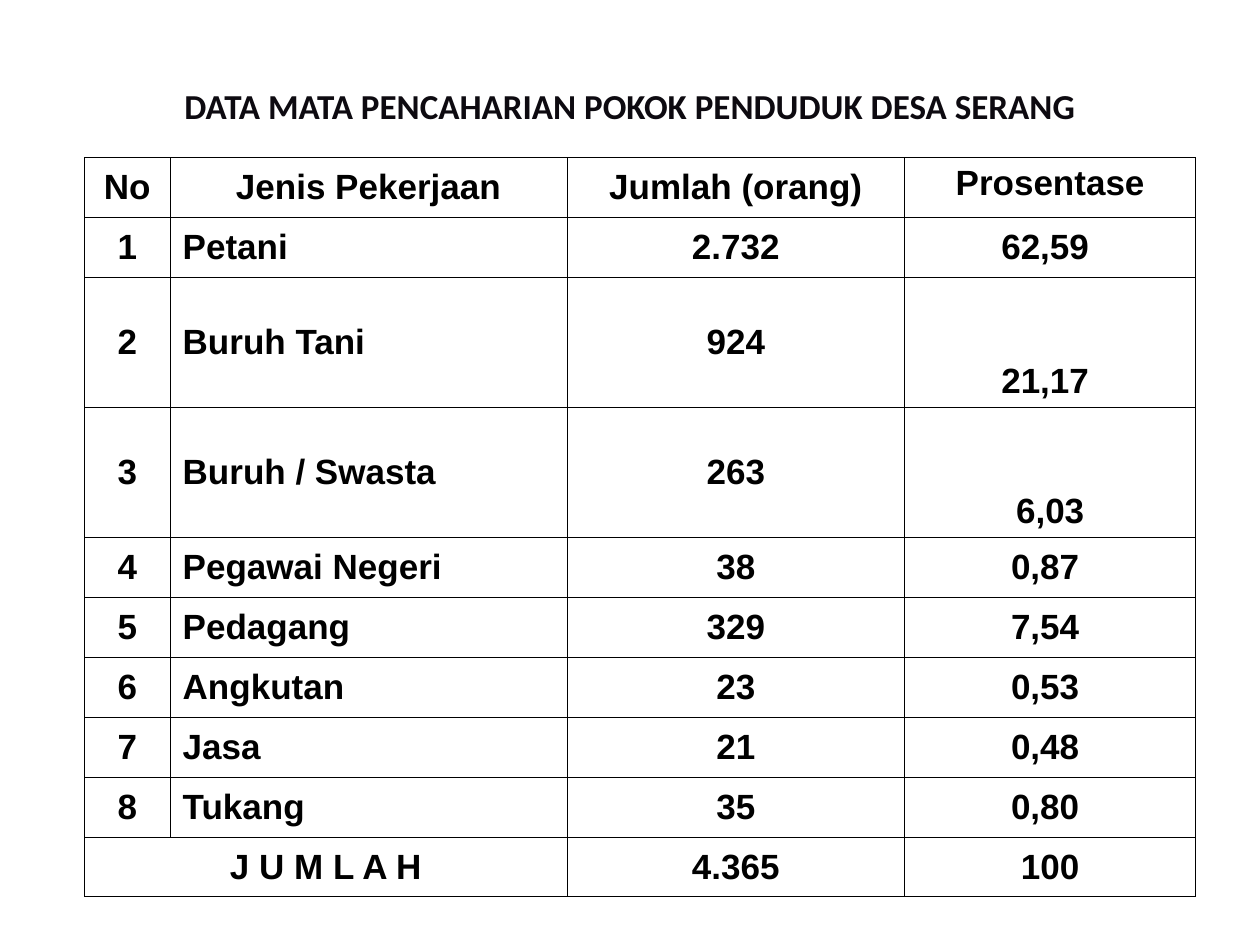
"""Build a slide with a table of the main livelihoods in Serang village."""
from dataclasses import dataclass

from lxml.etree import SubElement
from pptx import Presentation
from pptx.dml.color import RGBColor
from pptx.enum.text import MSO_ANCHOR, PP_ALIGN
from pptx.oxml.ns import qn
from pptx.util import Inches, Pt


@dataclass(frozen=True)
class Theme:
    ink: str = "000000"
    head: str = "0D0A10"
    size: int = 20
    line: float = 0.45
    body: str = "Arial"
    title: str = "Calibri"


THEME = Theme()
TITLE = "DATA MATA PENCAHARIAN POKOK PENDUDUK DESA SERANG"
HEAD = ("No", "Jenis Pekerjaan", "Jumlah (orang)", "Prosentase")
JOBS = [
    ("Petani", "2.732", "62,59"),
    ("Buruh Tani", "924", "21,17"),
    ("Buruh / Swasta", "263", "6,03"),
    ("Pegawai Negeri", "38", "0,87"),
    ("Pedagang", "329", "7,54"),
    ("Angkutan", "23", "0,53"),
    ("Jasa", "21", "0,48"),
    ("Tukang", "35", "0,80"),
]
TOTAL = ("J U M L A H", "", "4.365", "100")
ROWS = [HEAD, *((str(n), *job) for n, job in enumerate(JOBS, 1)), TOTAL]
COLS = (0.68, 3.15, 2.68, 2.31)
LEFT, TOP, HIGH = 0.67, 1.25, 5.87
TALL, TALL_ROWS = 1.03, (2, 3)
SHORT = (HIGH - TALL * len(TALL_ROWS)) / (len(ROWS) - len(TALL_ROWS))
WIDE, THIN, SHIFT = 0.1, 0.01, 0.09


def apply(item, values):
    for name, value in values.items():
        setattr(item, name, value)


def write(frame, text, face, color, align):
    par = frame.paragraphs[0]
    par.alignment = align
    run = par.add_run()
    run.text = text
    apply(run.font, {"name": face, "size": Pt(THEME.size), "bold": True})
    run.font.color.rgb = RGBColor.from_string(color)


def border(cell):
    props = cell._tc.get_or_add_tcPr()
    for side in ("lnL", "lnR", "lnT", "lnB"):
        line = SubElement(props, qn(f"a:{side}"), w=str(Pt(THEME.line)))
        fill = SubElement(line, qn("a:solidFill"))
        SubElement(fill, qn("a:srgbClr"), val=THEME.ink)
    cell.fill.background()


def layout(row, col):
    """Return the anchor and side margins of a cell."""
    share = col == 3
    inset = WIDE if row == 0 or col < 2 else THIN
    anchor = MSO_ANCHOR.MIDDLE
    if share and row == 0:
        anchor = MSO_ANCHOR.TOP
    elif share and row in TALL_ROWS:
        anchor = MSO_ANCHOR.BOTTOM
    moved = share and 0 < row < len(ROWS) - 1 and row != 3
    return {
        "vertical_anchor": anchor,
        "margin_left": Inches(inset),
        "margin_right": Inches(SHIFT if moved else inset),
        "margin_top": Inches(0.05),
        "margin_bottom": Inches(0.05),
    }


def add_jobs(slide):
    table = slide.shapes.add_table(
        len(ROWS), len(COLS), Inches(LEFT), Inches(TOP),
        Inches(sum(COLS)), Inches(HIGH)).table
    apply(table, {"first_row": False, "horz_banding": False})
    for col, width in zip(table.columns, COLS):
        col.width = Inches(width)
    last = len(ROWS) - 1
    table.cell(last, 0).merge(table.cell(last, 1))
    for r, texts in enumerate(ROWS):
        table.rows[r].height = Inches(TALL if r in TALL_ROWS else SHORT)
        for c, text in enumerate(texts):
            cell = table.cell(r, c)
            apply(cell, layout(r, c))
            border(cell)
            name = c == 1 and 0 < r < last
            align = PP_ALIGN.LEFT if name else PP_ALIGN.CENTER
            if text:
                write(cell.text_frame, text, THEME.body, THEME.ink, align)


def main():
    deck = Presentation()
    apply(deck, {"slide_width": Inches(10), "slide_height": Inches(7.5)})
    slide = deck.slides.add_slide(deck.slide_layouts[5])
    title = slide.shapes.title
    apply(title, {"left": Inches(0.5), "top": Inches(0.5),
                  "width": Inches(9), "height": Inches(0.67)})
    title.text_frame.vertical_anchor = MSO_ANCHOR.MIDDLE
    write(title.text_frame, TITLE, THEME.title, THEME.head, PP_ALIGN.CENTER)
    add_jobs(slide)
    deck.save("out.pptx")


if __name__ == "__main__":
    main()
